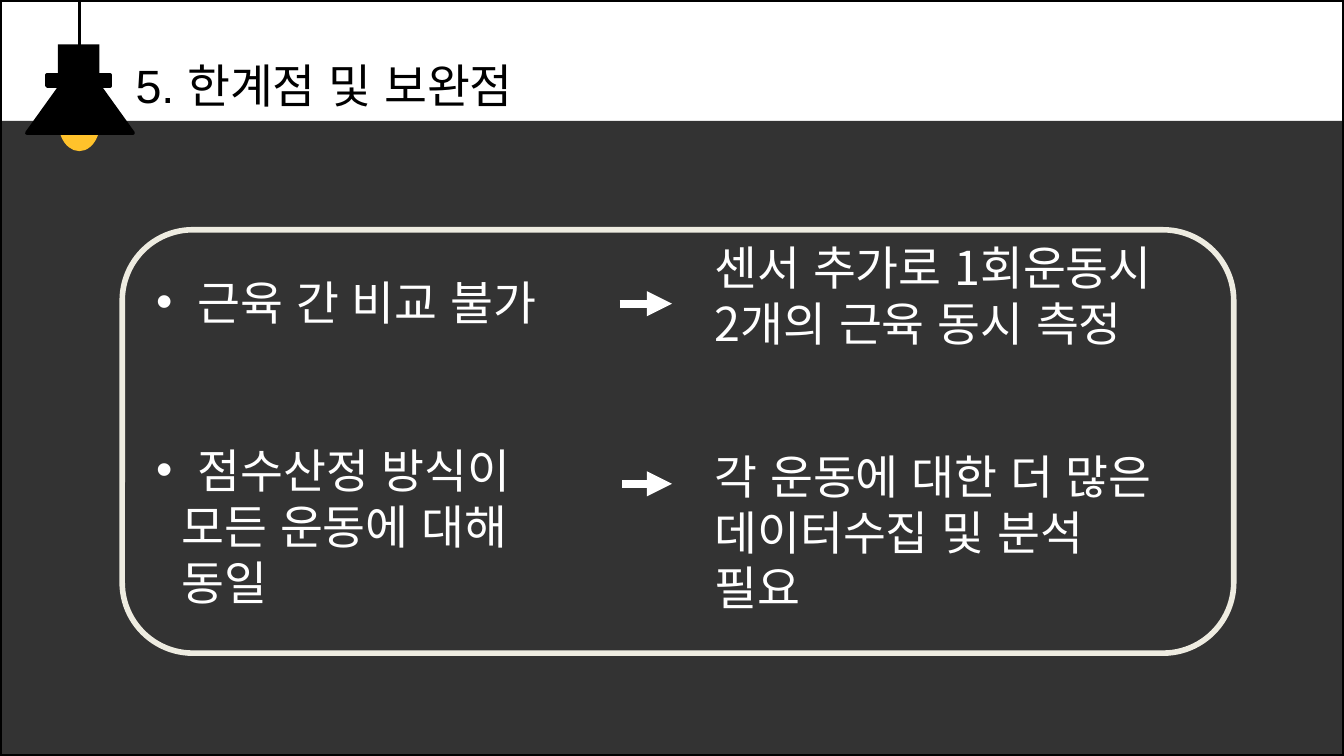
import pptx
import pptx.util
import pptx.dml.color
import pptx.enum.shapes
import pptx.enum.text
import pptx.oxml.ns
from lxml import etree

Inches, Pt = pptx.util.Inches, pptx.util.Pt
MSO = pptx.enum.shapes.MSO_SHAPE
rgb = pptx.dml.color.RGBColor.from_string
qn = pptx.oxml.ns.qn
KOREAN = "Noto Sans CJK KR"
W, H = 10, 10 * 9 / 16

prs = pptx.Presentation()
prs.slide_width, prs.slide_height = Inches(W), Inches(H)
s = prs.slides.add_slide(prs.slide_layouts[6])


def add_shape(kind, box, fill=None, line=None, width=2):
    sp = s.shapes.add_shape(kind, *[Inches(v) for v in box])
    sp.shadow.inherit = False
    if fill:
        sp.fill.solid()
        sp.fill.fore_color.rgb = rgb(fill)
    else:
        sp.fill.background()
    if line:
        sp.line.color.rgb = rgb(line)
        sp.line.width = Pt(width)
    else:
        sp.line.fill.background()
    return sp


def add_text(p, text, color="FFFFFF", latin=KOREAN):
    p.alignment = pptx.enum.text.PP_ALIGN.LEFT
    p.line_spacing = Pt(30)
    r = p.add_run()
    r.text = text
    r.font.size = Pt(25)
    r.font.name = latin
    r.font.color.rgb = rgb(color)
    etree.SubElement(r.font._element, qn("a:ea"), typeface="Arial")


# Dark lower area
sp = add_shape(MSO.RECTANGLE, (0, 0.9, W, H - 0.9), "000000")
clr = sp.fill._xPr.find(qn("a:solidFill"))[0]
etree.SubElement(clr, qn("a:alpha"), val="80000")

# Hanging lamp
add_shape(MSO.OVAL, (0.45, 0.72, 0.28, 0.39), "FFC22B", "FFC22B")
add_shape(MSO.RECTANGLE, (0.43, 0.33, 0.31, 0.31), "000000")
add_shape(MSO.RECTANGLE, (0.35, 0.56, 0.47, 0.08), "000000", "000000")
add_shape(MSO.ISOSCELES_TRIANGLE, (0.2, 0.44, 0.79, 0.55), "000000", "000000")

# Slide border
add_shape(MSO.RECTANGLE, (0, 0, W, H), line="000000")

# Framed list of limitations
sp = add_shape(MSO.ROUNDED_RECTANGLE, (0.91, 1.71, 8.27, 3.15), line="EEECE1", width=3)
tf = sp.text_frame
tf.word_wrap = True
tf.vertical_anchor = pptx.enum.text.MSO_ANCHOR.MIDDLE
items = [("근육 간 비교 불가", True), ("점수산정 방식이", True),
         ("모든 운동에 대해", False), ("동일", False)]
for i, (text, bullet) in enumerate(items):
    p = tf.paragraphs[0] if i == 0 else tf.add_paragraph()
    pPr = p._p.get_or_add_pPr()
    if bullet:
        pPr.set("marL", str(Inches(0.31)))
        pPr.set("indent", str(-Inches(0.31)))
        etree.SubElement(pPr, qn("a:buFont"), typeface="Arial")
        etree.SubElement(pPr, qn("a:buChar"), char="•")
    else:
        pPr.set("marL", str(Inches(0.19)))
    if i == 1:
        p.space_before = Pt(60)
    add_text(p, text)

# Title and improvements
texts = [
    ((0.91, 0.37, 7.09, 0.52), "5. 한계점 및 보완점", "000000", "Arial"),
    ((5.22, 1.73, 3.46, 1.36), "센서 추가로 1회운동시 2개의 근육 동시 측정", "FFFFFF", KOREAN),
    ((5.22, 3.28, 3.46, 1.36), "각 운동에 대한 더 많은 데이터수집 및 분석 필요", "FFFFFF", KOREAN),
]
for box, text, color, latin in texts:
    tf = s.shapes.add_textbox(*[Inches(v) for v in box]).text_frame
    tf.word_wrap = True
    add_text(tf.paragraphs[0], text, color, latin)

# Lamp cord and arrows
lines = [
    ((0.59, 0.01, 0.59, 0.4), "000000", 1.5, False),
    ((4.61, 2.26, 5, 2.26), "FFFFFF", 4.5, True),
    ((4.63, 3.6, 5, 3.6), "FFFFFF", 4.5, True),
]
for ends, color, width, arrow in lines:
    c = s.shapes.add_connector(pptx.enum.shapes.MSO_CONNECTOR.STRAIGHT,
                               *[Inches(v) for v in ends])
    c.line.color.rgb = rgb(color)
    c.line.width = Pt(width)
    if arrow:
        etree.SubElement(c.line._get_or_add_ln(), qn("a:tailEnd"), type="triangle")
    etree.SubElement(c._element.spPr, qn("a:effectLst"))

prs.save("out.pptx")
